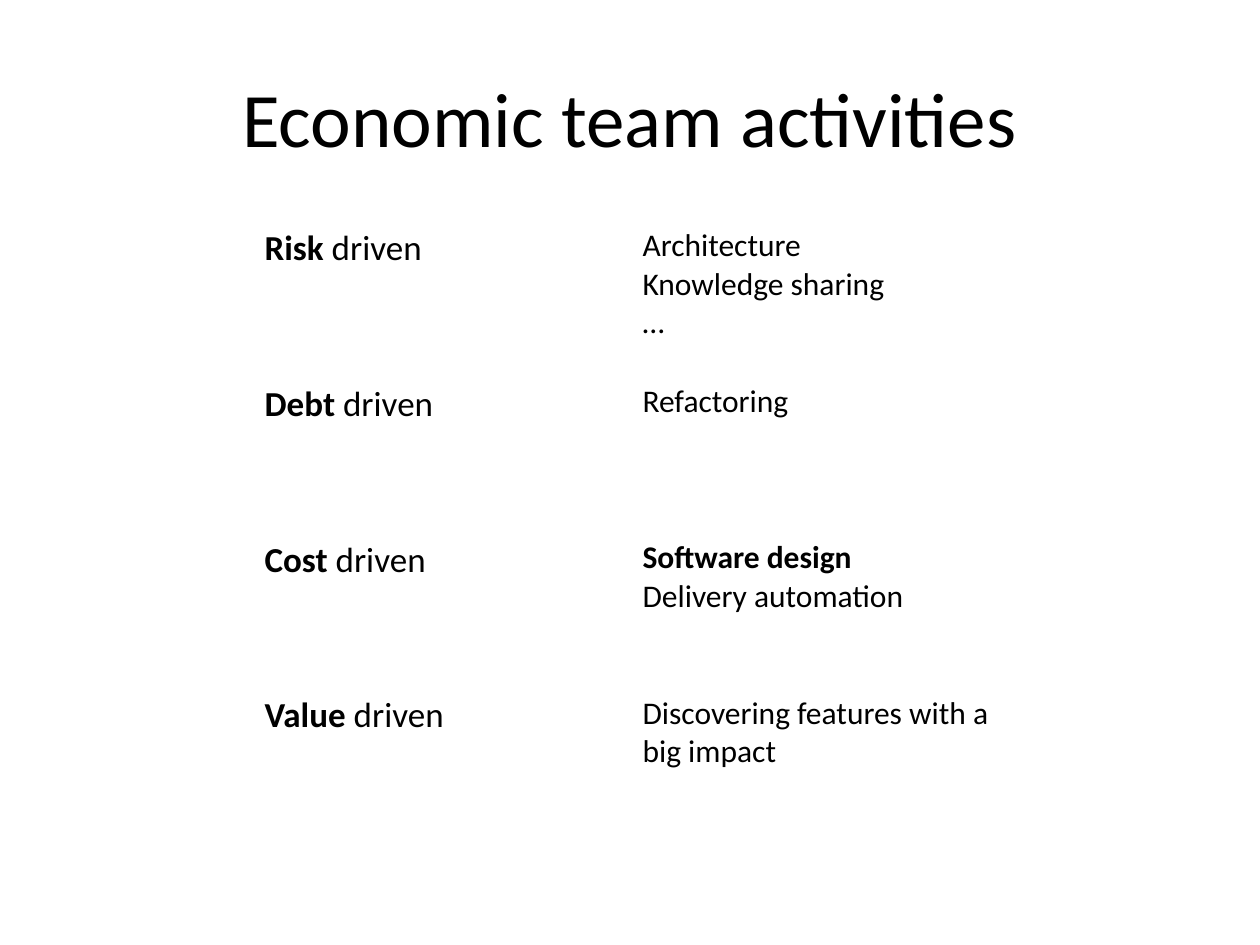
import pptx
import pptx.util
import pptx.dml.color
import pptx.enum.text

Inches = pptx.util.Inches
COLORS = {"text": "000000"}
ROWS = [
    ("Risk", ["Architecture", "Knowledge sharing", "…"]),
    ("Debt", ["Refactoring"]),
    ("Cost", ["Software design", "Delivery automation"]),
    ("Value", ["Discovering features with a big impact"]),
]
STRONG = "Software design"


def style(font, size):
    font.name = "Calibri"
    font.size = pptx.util.Pt(size)
    font.color.rgb = pptx.dml.color.RGBColor.from_string(COLORS["text"])


deck = pptx.Presentation()
deck.slide_width = Inches(10)
deck.slide_height = Inches(7.5)
slide = deck.slides.add_slide(deck.slide_layouts[6])

# Title
title = slide.shapes.add_textbox(Inches(0.5), Inches(0.3), Inches(9), Inches(1.25))
frame = title.text_frame
frame.word_wrap = True
frame.vertical_anchor = pptx.enum.text.MSO_ANCHOR.MIDDLE
frame.text = "Economic team activities"
frame.paragraphs[0].alignment = pptx.enum.text.PP_ALIGN.CENTER
style(frame.paragraphs[0].font, 44)

# Drivers on the left, their activities on the right
table = slide.shapes.add_table(
    len(ROWS), 2, Inches(2), Inches(1.75), Inches(6), Inches(4.95)
).table
table.first_row = False
table.horz_banding = False

for row, (driver, tasks) in enumerate(ROWS):
    left, right = table.cell(row, 0), table.cell(row, 1)
    for cell in (left, right):
        cell.fill.background()

    para = left.text_frame.paragraphs[0]
    style(para.font, 20)
    run = para.add_run()
    run.text = driver
    run.font.bold = True
    para.add_run().text = " driven"

    right.text_frame.text = "\n".join(tasks)
    for para in right.text_frame.paragraphs:
        style(para.font, 18)
        para.font.bold = para.text == STRONG

deck.save("out.pptx")
